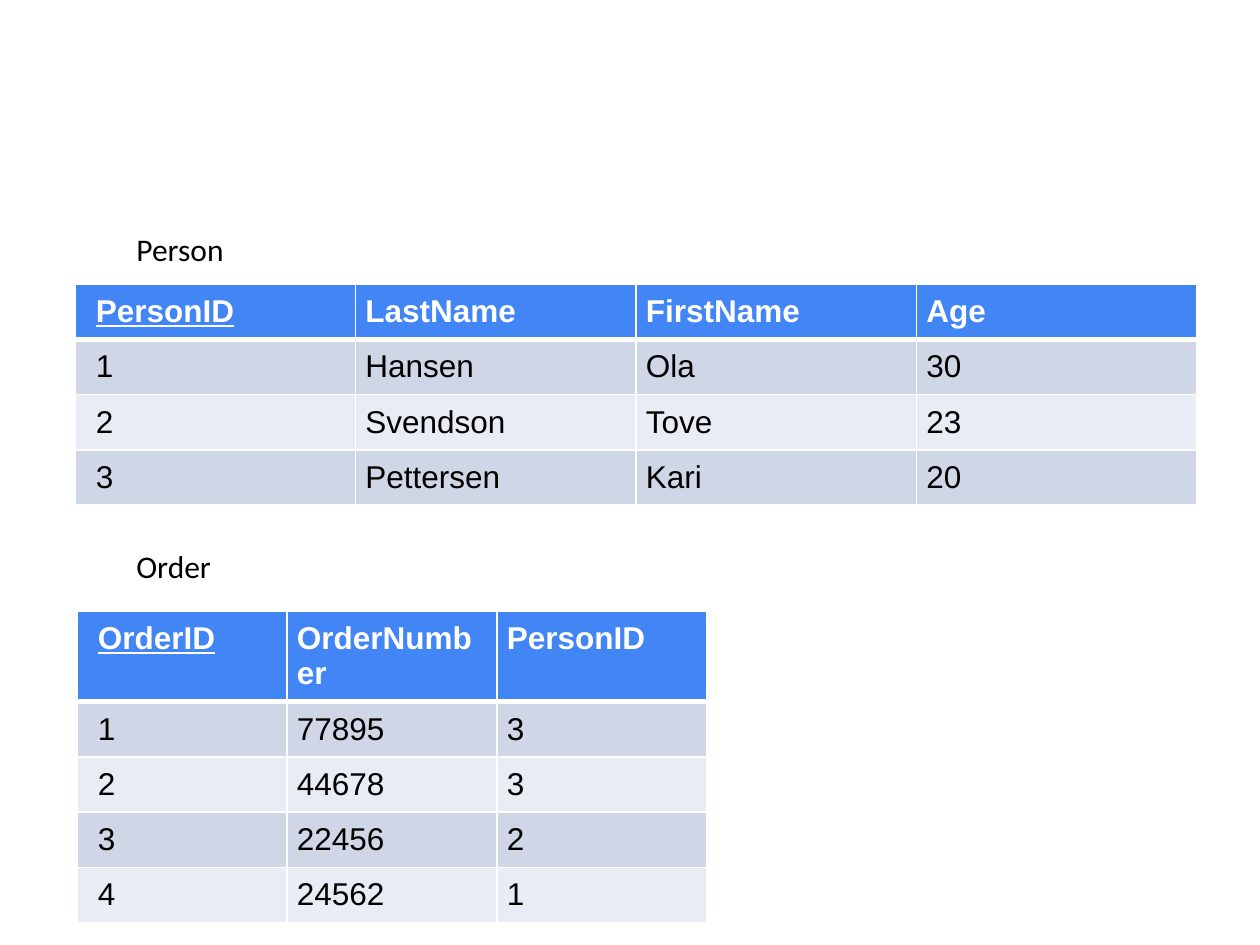
from lxml.etree import SubElement as Sub
from pptx import Presentation
from pptx.dml.color import RGBColor as RGB
from pptx.enum.text import MSO_AUTO_SIZE as Auto
from pptx.oxml.ns import qn
from pptx.util import Emu, Pt

WHITE = RGB(0xFF, 0xFF, 0xFF)
BLACK = RGB(0, 0, 0)
BLUE = RGB(0x42, 0x85, 0xF4)
DARK = RGB(0xCF, 0xD7, 0xE7)
LIGHT = RGB(0xE8, 0xEC, 0xF4)

PERSON = [
    ["PersonID", "LastName", "FirstName", "Age"],
    ["1", "Hansen", "Ola", "30"],
    ["2", "Svendson", "Tove", "23"],
    ["3", "Pettersen", "Kari", "20"],
]
ORDER = [
    ["OrderID", "OrderNumber", "PersonID"],
    ["1", "77895", "3"],
    ["2", "44678", "3"],
    ["3", "22456", "2"],
    ["4", "24562", "1"],
]


def px(num):
    return Emu(round(num * 914400 / 126))


class Page:
    """Holds the slide and the style of its labels and tables."""

    size = Pt(18)
    pad = px(10)
    key_pad = px(21)

    def __init__(self, slide):
        self.slide = slide

    def run(self, para, text, face, color, bold=False, line=False):
        run = para.add_run()
        run.text = text
        font = run.font
        font.name, font.size = face, self.size
        font.bold, font.underline = bold, line
        font.color.rgb = color

    def label(self, text, x, y, w, h):
        box = self.slide.shapes.add_textbox(px(x), px(y), px(w), px(h))
        frame = box.text_frame
        frame.word_wrap = True
        frame.auto_size = Auto.SHAPE_TO_FIT_TEXT
        self.run(frame.paragraphs[0], text, "Calibri", BLACK)

    def edge(self, cell, side, wide):
        props = cell._tc.get_or_add_tcPr()
        line = Sub(props, qn(f"a:ln{side}"), w=str(Pt(wide)))
        fill = Sub(line, qn("a:solidFill"))
        Sub(fill, qn("a:srgbClr"), val=str(WHITE))

    def cell(self, cell, text, row, col):
        head = row == 0
        cell.margin_left = self.pad if col else self.key_pad
        cell.margin_right = cell.margin_top = cell.margin_bottom = self.pad
        for side in "LRTB":
            thick = (side, row) in (("B", 0), ("T", 1))
            self.edge(cell, side, 3 if thick else 1)
        cell.fill.solid()
        cell.fill.fore_color.rgb = BLUE if head else DARK if row % 2 else LIGHT
        para = cell.text_frame.paragraphs[0]
        color = WHITE if head else BLACK
        self.run(para, text, "Arial", color, head, head and col == 0)

    def table(self, data, x, y, w, h, high):
        rows, cols = len(data), len(data[0])
        frame = self.slide.shapes.add_table(rows, cols, px(x), px(y), px(w), px(h))
        table = frame.table
        for row, line in enumerate(data):
            table.rows[row].height = px(high)
            for col, text in enumerate(line):
                self.cell(table.cell(row, col), text, row, col)
        frame.height = px(h)


def main():
    deck = Presentation()
    deck.slide_width, deck.slide_height = px(1260), px(945)
    page = Page(deck.slides.add_slide(deck.slide_layouts[6]))
    page.table(PERSON, 75, 284, 1122, 236, 43)
    page.table(ORDER, 77, 611, 630, 294, 52)
    page.label("Person", 124, 224, 268, 50)
    page.label("Order", 124, 541, 268, 50)
    deck.save("out.pptx")


if __name__ == "__main__":
    main()
